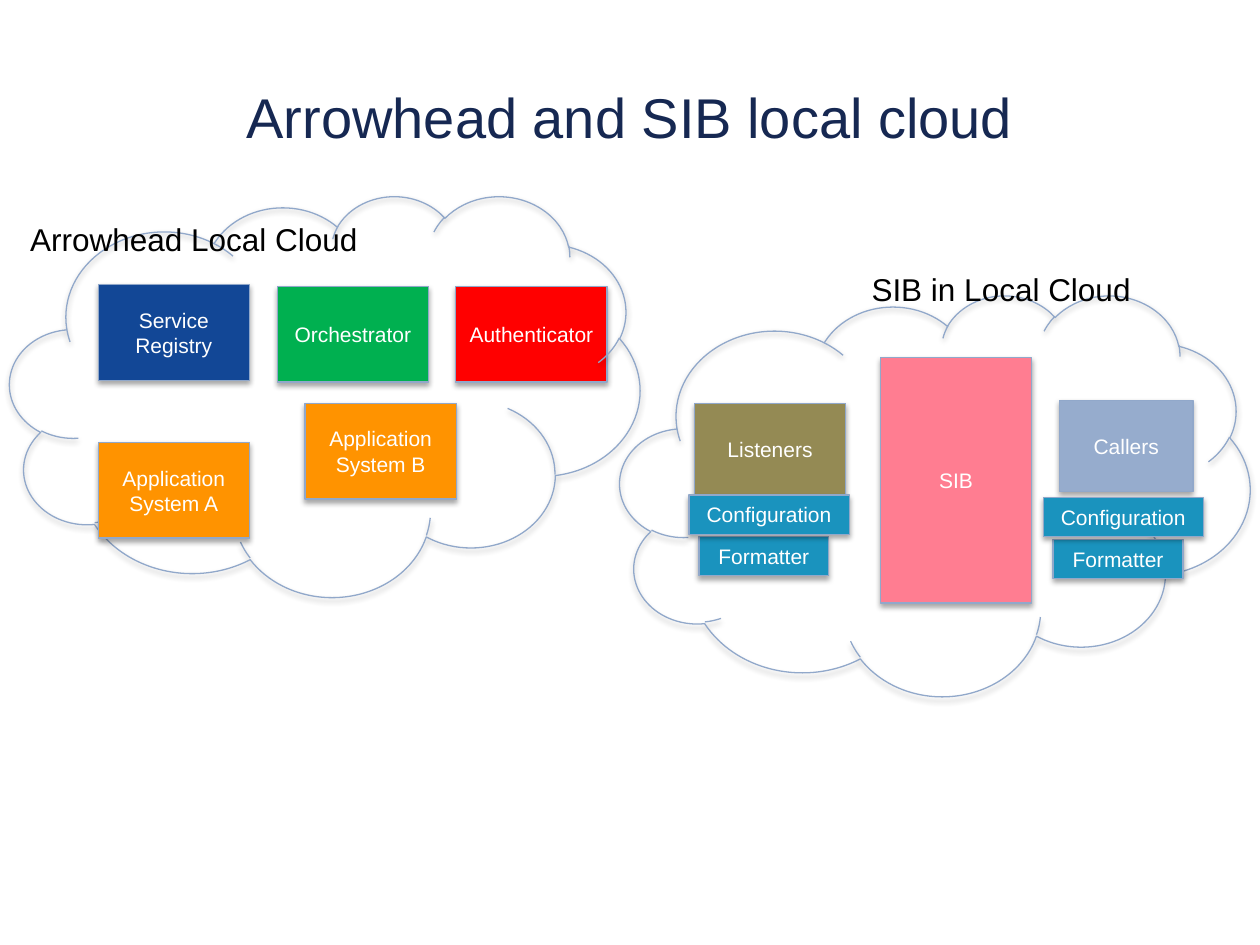
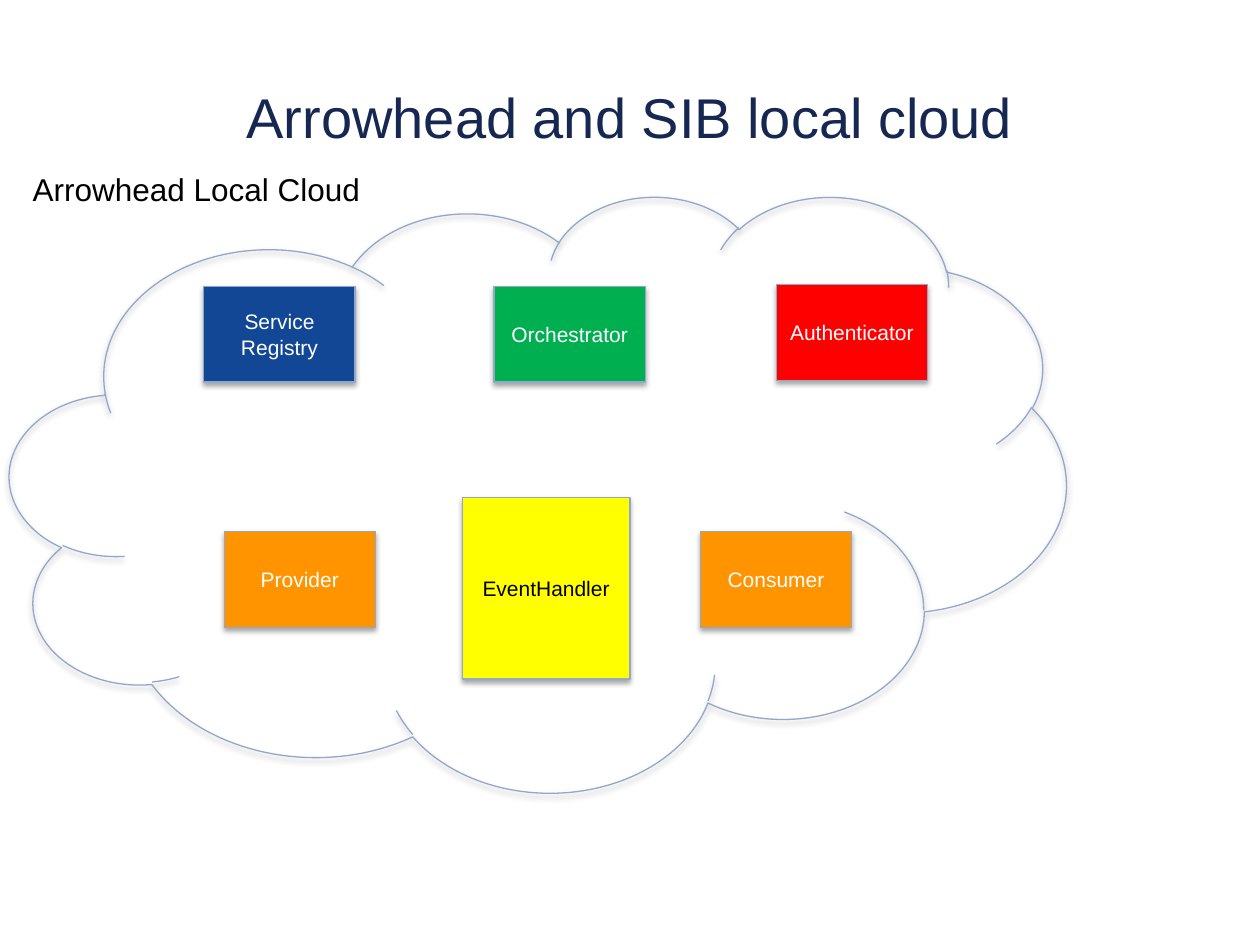
from lxml.etree import SubElement
from pptx import Presentation
from pptx.dml.color import RGBColor
from pptx.enum.shapes import MSO_SHAPE
from pptx.enum.text import MSO_ANCHOR, MSO_AUTO_SIZE, PP_ALIGN
from pptx.oxml.ns import qn
from pptx.util import Cm, Pt

NAVY = RGBColor(0x16, 0x28, 0x52)
BLACK = RGBColor(0x00, 0x00, 0x00)
WHITE = RGBColor(0xFF, 0xFF, 0xFF)
OUTLINE = RGBColor(0x91, 0xA8, 0xCA)
BLUE = RGBColor(0x12, 0x47, 0x96)
GREEN = RGBColor(0x00, 0xB0, 0x50)
RED = RGBColor(0xFF, 0x00, 0x00)
ORANGE = RGBColor(0xFF, 0x93, 0x00)
OLIVE = RGBColor(0x94, 0x8A, 0x54)
PINK = RGBColor(0xFF, 0x7D, 0x91)
PALE_BLUE = RGBColor(0x96, 0xAC, 0xCD)
TEAL = RGBColor(0x1A, 0x93, 0xBE)
YELLOW = RGBColor(0xFF, 0xFF, 0x00)

FONT = "Arial"
TITLE = "Arrowhead and SIB local cloud"
BOX_SIZE = (3.05, 1.93)
SMALL_CLOUD = (12.7, 8.08)


class CloudDeck:
    """Holds the shared style and the slide being drawn; lengths are in cm."""

    def __init__(self):
        """Start an empty 4:3 presentation."""
        self.deck = Presentation()
        self.deck.slide_width, self.deck.slide_height = Cm(25.4), Cm(19.05)
        self.slide = None

    def new_slide(self, heading):
        """Add a blank slide with the shared title."""
        self.slide = self.deck.slides.add_slide(self.deck.slide_layouts[6])
        title = self.slide.shapes.add_textbox(Cm(1.27), Cm(0.76), Cm(22.86), Cm(3.18))
        title.text_frame.word_wrap = True
        self.set_words(title, heading, 32, NAVY, PP_ALIGN.CENTER, MSO_ANCHOR.MIDDLE)

    def set_words(self, shape, words, size, color, align, anchor):
        """Put one styled paragraph into a shape."""
        shape.text_frame.text = words
        shape.text_frame.vertical_anchor = anchor
        paragraph = shape.text_frame.paragraphs[0]
        paragraph.alignment = align
        paragraph.font.name = FONT
        paragraph.font.size = Pt(size)
        paragraph.font.color.rgb = color

    def label(self, words, left, top, width):
        """Add a cloud caption on one line."""
        caption = self.slide.shapes.add_textbox(Cm(left), Cm(top), Cm(width), Cm(1.02))
        caption.text_frame.word_wrap = False
        caption.text_frame.auto_size = MSO_AUTO_SIZE.SHAPE_TO_FIT_TEXT
        self.set_words(caption, words, 18, BLACK, PP_ALIGN.LEFT, MSO_ANCHOR.TOP)

    def outlined(self, preset, left, top, size):
        """Add a preset shape with the shared outline and soft shadow below."""
        shape = self.slide.shapes.add_shape(
            preset, Cm(left), Cm(top), Cm(size[0]), Cm(size[1]))
        shape.line.color.rgb = OUTLINE
        shape.line.width = Pt(0.75)
        shape.shadow.inherit = False
        effects = shape.element.spPr.find(qn("a:effectLst"))
        shadow = SubElement(effects, qn("a:outerShdw"), blurRad=str(Pt(3.1)),
                            dist=str(Pt(1.8)), dir="5400000", rotWithShape="0")
        shade = SubElement(shadow, qn("a:srgbClr"), val=str(BLACK))
        SubElement(shade, qn("a:alpha"), val="35000")
        return shape

    def cloud(self, left, top, size=SMALL_CLOUD):
        """Add an unfilled cloud."""
        self.outlined(MSO_SHAPE.CLOUD, left, top, size).fill.background()

    def box(self, words, fill, left, top, size=BOX_SIZE, color=WHITE):
        """Add a filled rectangle with centred text."""
        system = self.outlined(MSO_SHAPE.RECTANGLE, left, top, size)
        system.fill.solid()
        system.fill.fore_color.rgb = fill
        self.set_words(system, words, 12, color, PP_ALIGN.CENTER, MSO_ANCHOR.MIDDLE)

    def core_services(self, positions):
        """Add the three core services at the given (left, top) positions."""
        services = (("Service Registry", BLUE), ("Orchestrator", GREEN),
                    ("Authenticator", RED))
        for (words, fill), (left, top) in zip(services, positions):
            self.box(words, fill, left, top)

    def adapter(self, left, top):
        """Add a formatter tucked under its configuration."""
        self.box("Formatter", TEAL, left + 0.2, top + 0.84, (2.62, 0.79))
        self.box("Configuration", TEAL, left, top, (3.23, 0.79))


def two_clouds(deck):
    """Draw the two local clouds side by side."""
    deck.new_slide(TITLE)
    deck.core_services([(1.98, 5.74), (5.59, 5.77), (9.19, 5.77)])
    deck.cloud(0.2, 3.94)
    deck.label("Arrowhead Local Cloud", 0.36, 4.32, 7.16)
    deck.box("Application System A", ORANGE, 1.98, 8.92)
    deck.box("Listeners", OLIVE, 14, 8.13, (3.05, 1.85))
    deck.box("SIB", PINK, 17.75, 7.21, (3.05, 4.95))
    deck.box("Callers", PALE_BLUE, 21.36, 8.08, (2.69, 1.83))
    deck.cloud(12.5, 5.94)
    deck.label("SIB in Local Cloud", 17.32, 5.31, 5.79)
    deck.adapter(13.89, 9.98)
    deck.adapter(21.03, 10.03)
    deck.box("Application System B", ORANGE, 6.15, 8.13)


def event_cloud(deck):
    """Draw one large cloud with the event handler."""
    deck.new_slide(TITLE)
    deck.core_services([(4.11, 5.77), (9.96, 5.77), (15.65, 5.74)])
    deck.cloud(0.2, 3.94, (21.29, 12.01))
    deck.label("Arrowhead Local Cloud", 0.41, 3.3, 7.16)
    deck.box("Provider", ORANGE, 4.52, 10.72)
    deck.box("Consumer", ORANGE, 14.12, 10.72)
    deck.box("EventHandler", YELLOW, 9.32, 10.03, (3.38, 3.66), BLACK)


cloud_deck = CloudDeck()
two_clouds(cloud_deck)
event_cloud(cloud_deck)
cloud_deck.deck.save("out.pptx")
